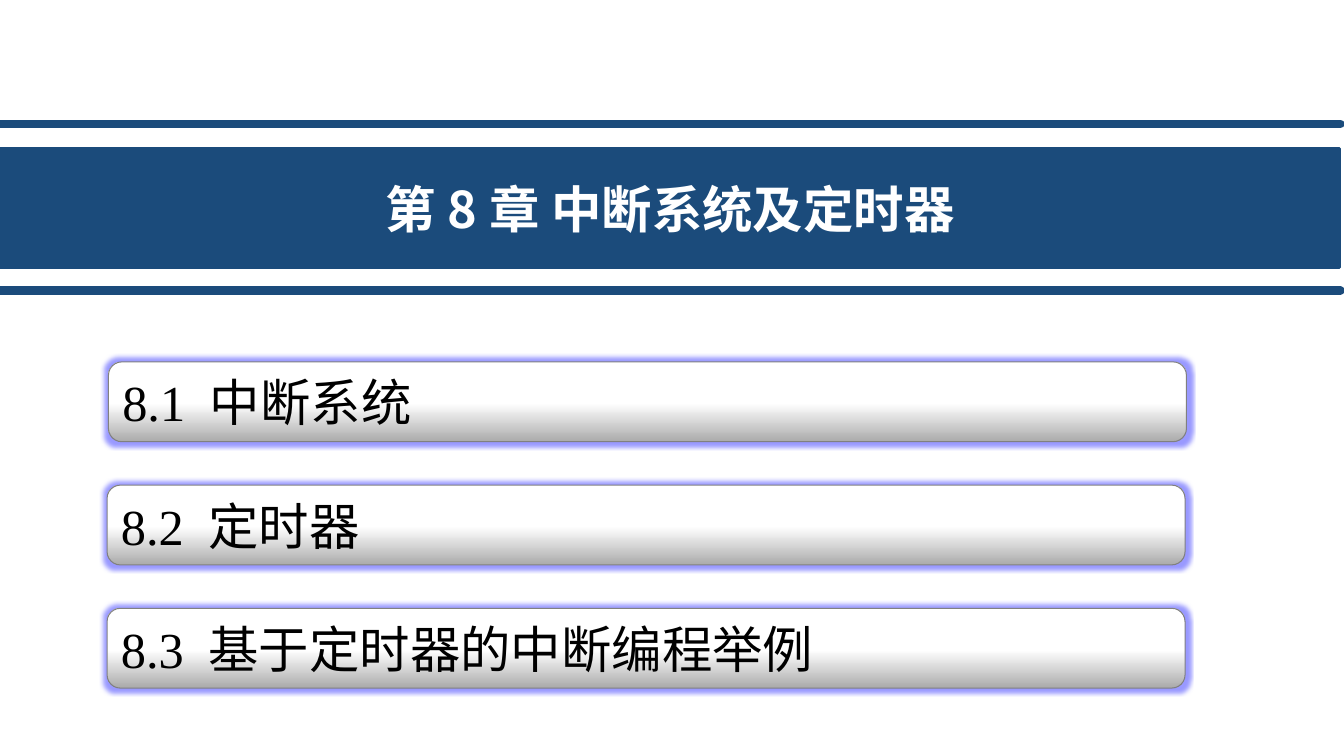
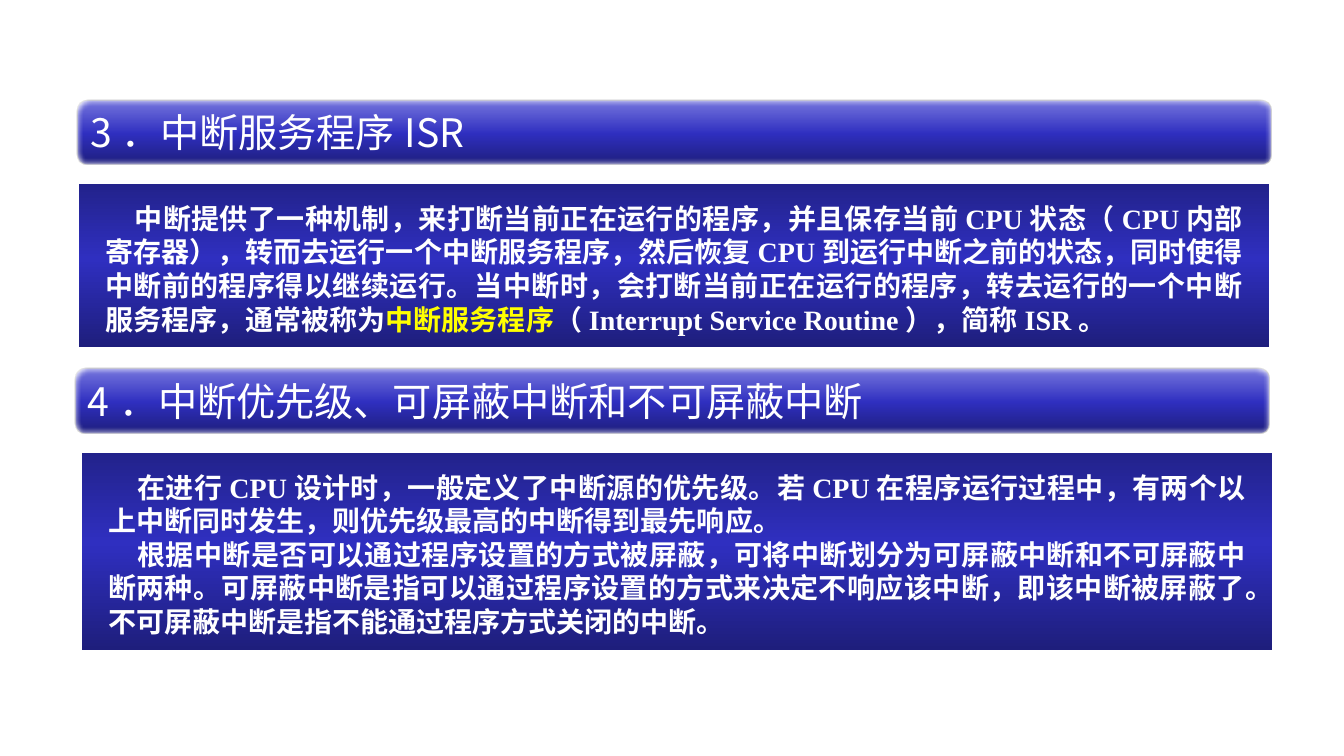
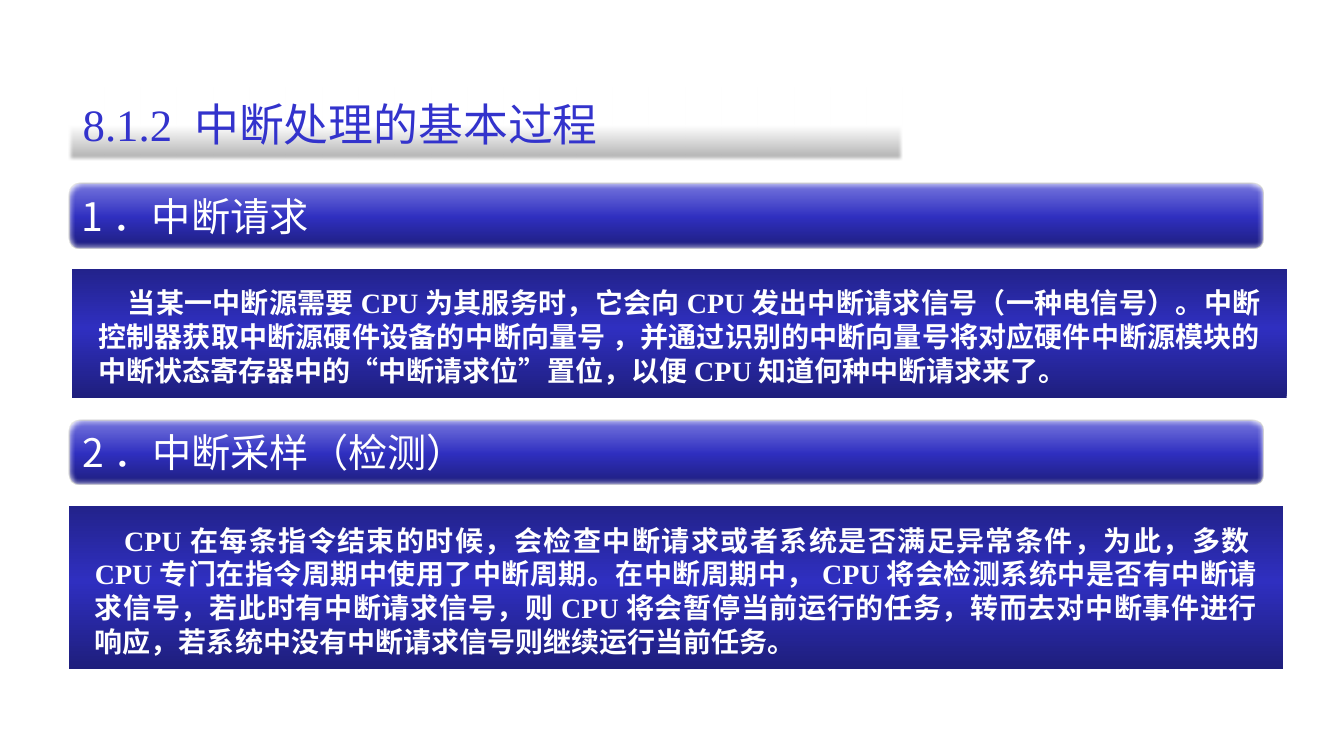
"""Build three lecture slides on interrupts and timers."""
from copy import deepcopy
from dataclasses import dataclass

from lxml.etree import SubElement
from pptx import Presentation
from pptx.dml.color import RGBColor
from pptx.enum.shapes import MSO_CONNECTOR, MSO_SHAPE
from pptx.enum.text import MSO_ANCHOR, MSO_AUTO_SIZE, PP_ALIGN
from pptx.oxml.ns import qn
from pptx.util import Pt


@dataclass(frozen=True)
class Theme:
    """Colours, gradients, fonts and type sizes of the deck."""
    band: str = "1B4B7B"
    white: str = "FFFFFF"
    black: str = "000000"
    blue: str = "3333CC"
    mark: str = "FFFF00"
    edge: str = "808080"
    glow: str = "9999FF"
    silver: tuple = ((0, "ABABAB"), (0.48, "FFFFFF"), (1, "FFFFFF"))
    gloss: tuple = ((0, "1E1E7C"), (0.48, "2F2FC0"), (1, "7878DE"))
    deep: tuple = ((0, "1E1E7C"), (0.54, "2F2FC0"), (1, "22228B"))
    sans: str = "Noto Sans CJK SC"
    serif: str = "Times New Roman"
    large: int = 36
    title: int = 32
    head: int = 28
    body: int = 20
    pitch: int = 24


def write(box, paras, size, color, font, bold=False, align=PP_ALIGN.LEFT,
          indent=0, pitch=None):
    """Fill a box with paragraphs, each a list of (text, colour or None) runs."""
    frame = box.text_frame
    frame.word_wrap = True
    frame.vertical_anchor = MSO_ANCHOR.MIDDLE
    for i, runs in enumerate(paras):
        para = frame.add_paragraph() if i else frame.paragraphs[0]
        para.alignment = align
        para.space_before = Pt(0)
        if indent:
            para._p.get_or_add_pPr().set("indent", str(Pt(indent)))
        if pitch:
            para.line_spacing = Pt(pitch)
        for text, tint in runs:
            run = para.add_run()
            run.text = text
            run.font.size = Pt(size)
            run.font.bold = bold
            run.font.name = font
            run.font.color.rgb = RGBColor.from_string(tint or color)
            east = SubElement(run._r.get_or_add_rPr(), qn("a:ea"))
            east.set("typeface", Theme.sans)


class Deck:
    """Hold the theme and the current slide, and draw its elements."""

    def __init__(self):
        """Start an empty wide presentation."""
        self.look = Theme()
        self.show = Presentation()
        self.show.slide_width = Pt(960)
        self.show.slide_height = Pt(540)
        self.slide = None

    def page(self, titled=True):
        """Add a slide with or without a title."""
        layout = self.show.slide_layouts[5 if titled else 6]
        self.slide = self.show.slides.add_slide(layout)

    def place(self, kind, left, top, width, height):
        """Add a preset shape without fill, line or shadow."""
        box = self.slide.shapes.add_shape(
            kind, Pt(left), Pt(top), Pt(width), Pt(height))
        box.line.fill.background()
        box.shadow.inherit = False
        return box

    def title(self, left, top, width, height):
        """Move the title placeholder."""
        box = self.slide.shapes.title
        box.left, box.top = Pt(left), Pt(top)
        box.width, box.height = Pt(width), Pt(height)
        box.text_frame.auto_size = MSO_AUTO_SIZE.NONE
        box.shadow.inherit = False
        return box

    def line(self, box, color, width):
        """Outline a shape or colour a connector."""
        box.line.color.rgb = RGBColor.from_string(color)
        box.line.width = Pt(width)

    def blend(self, box, stops):
        """Fill a shape with a gradient that runs upwards."""
        box.fill.gradient()
        box.fill.gradient_angle = 90
        items = box._element.spPr.find(qn("a:gradFill")).find(qn("a:gsLst"))
        items.append(deepcopy(items[0]))
        for stop, (place, color) in zip(box.fill.gradient_stops, stops):
            stop.position = place
            stop.color.rgb = RGBColor.from_string(color)

    def effect(self, box, name, size, color=None):
        """Add a glow or a soft edge to a shape."""
        items = box._element.spPr.find(qn("a:effectLst"))
        node = SubElement(items, qn(name), rad=str(Pt(size)))
        if color:
            SubElement(node, qn("a:srgbClr"), val=color)

    def rule(self, top):
        """Draw a thick round-ended line across the slide."""
        bar = self.slide.shapes.add_connector(
            MSO_CONNECTOR.STRAIGHT, Pt(0), Pt(top), Pt(957.5), Pt(top))
        self.line(bar, self.look.band, 6)
        bar.line._get_or_add_ln().set("cap", "rnd")
        SubElement(bar._element.spPr, qn("a:effectLst"))

    def banner(self, text):
        """Draw the chapter title as a full-width band."""
        look = self.look
        box = self.title(0, 106, 957, 85)
        box.fill.solid()
        box.fill.fore_color.rgb = RGBColor.from_string(look.band)
        self.line(box, look.band, 2)
        write(box, [[(text, None)]], look.large, look.white, look.sans,
              bold=True, align=PP_ALIGN.CENTER)

    def topic(self, text, left, top):
        """Draw a glowing silver bar for a chapter section."""
        look = self.look
        box = self.place(MSO_SHAPE.ROUNDED_RECTANGLE, left, top, 770, 57)
        self.blend(box, look.silver)
        self.line(box, look.edge, 0.75)
        self.effect(box, "a:glow", 6, look.glow)
        write(box, [[(text, None)]], look.large, look.black, look.serif)

    def section(self, text):
        """Draw the slide title as a soft silver bar."""
        look = self.look
        box = self.title(49, 62.5, 596, 52)
        shape = SubElement(box._element.spPr, qn("a:prstGeom"),
                           prst="roundRect")
        SubElement(shape, qn("a:avLst"))
        box._element.spPr.insert(1, shape)
        self.blend(box, look.silver)
        self.effect(box, "a:softEdge", 2.5)
        box.text_frame.margin_left = Pt(10)
        write(box, [[(text, None)]], look.title, look.blue, look.serif)

    def head(self, text, left, top):
        """Draw a glossy blue heading bar."""
        look = self.look
        box = self.place(MSO_SHAPE.ROUNDED_RECTANGLE, left, top, 853, 46)
        self.blend(box, look.gloss)
        self.line(box, look.edge, 0.75)
        self.effect(box, "a:softEdge", 2.5)
        write(box, [[(text, None)]], look.head, look.white, look.sans)

    def body(self, paras, left, top, width, rows):
        """Draw a blue panel that is sized by its rows of text."""
        look = self.look
        box = self.place(MSO_SHAPE.RECTANGLE, left, top, width,
                         rows * look.pitch + 20.5)
        self.blend(box, look.deep)
        frame = box.text_frame
        frame.margin_left = frame.margin_right = Pt(18.7)
        frame.margin_top, frame.margin_bottom = Pt(12), Pt(8)
        frame.auto_size = MSO_AUTO_SIZE.SHAPE_TO_FIT_TEXT
        write(box, paras, look.body, look.white, look.serif, bold=True,
              align=PP_ALIGN.JUSTIFY, indent=21, pitch=look.pitch)


def main():
    """Draw the slides and save them."""
    deck = Deck()
    deck.page()
    deck.banner("第8章 中断系统及定时器")
    for top in (207.5, 88.5):
        deck.rule(top)
    topics = ("8.1 中断系统", "8.2 定时器", "8.3 基于定时器的中断编程举例")
    for i, text in enumerate(topics):
        deck.topic(text, 76.5 if i else 77.5, 258.5 + 88 * i)

    deck.page(titled=False)
    deck.head("3．中断服务程序ISR", 55, 71.5)
    deck.body([[
        ("中断提供了一种机制，来打断当前正在运行的程序，并且保存当前CPU状态"
         "（CPU内部寄存器），转而去运行一个中断服务程序，然后恢复CPU到运行中断"
         "之前的状态，同时使得中断前的程序得以继续运行。当中断时，会打断当前正在"
         "运行的程序，转去运行的一个中断服务程序，通常被称为", None),
        ("中断服务程序", deck.look.mark),
        ("（Interrupt Service Routine），简称ISR。", None),
    ]], 56.5, 131.5, 850, 4)
    deck.head("4．中断优先级、可屏蔽中断和不可屏蔽中断", 53.5, 263)
    deck.body([
        [("在进行CPU设计时，一般定义了中断源的优先级。若CPU在程序运行过程中，"
          "有两个以上中断同时发生，则优先级最高的中断得到最先响应。", None)],
        [("根据中断是否可以通过程序设置的方式被屏蔽，可将中断划分为可屏蔽中断和"
          "不可屏蔽中断两种。可屏蔽中断是指可以通过程序设置的方式来决定不响应该"
          "中断，即该中断被屏蔽了。不可屏蔽中断是指不能通过程序方式关闭的中断。",
          None)],
    ], 58.5, 323.5, 850, 5)

    deck.page()
    deck.section("8.1.2 中断处理的基本过程")
    deck.head("1．中断请求", 49, 131)
    deck.body([[
        ("当某一中断源需要CPU为其服务时，它会向CPU发出中断请求信号（一种电信号）。"
         "中断控制器获取中断源硬件设备的中断向量号 ，并通过识别的中断向量号将对应"
         "硬件中断源模块的中断状态寄存器中的“中断请求位”置位，以便CPU知道何种中断"
         "请求来了。", None),
    ]], 51.5, 192, 867.5, 3)
    deck.head("2．中断采样（检测）", 49.5, 300)
    deck.body([[
        ("CPU在每条指令结束的时候，会检查中断请求或者系统是否满足异常条件，为此，"
         "多数CPU专门在指令周期中使用了中断周期。在中断周期中，CPU将会检测系统中"
         "是否有中断请求信号，若此时有中断请求信号，则CPU将会暂停当前运行的任务，"
         "转而去对中断事件进行响应，若系统中没有中断请求信号则继续运行当前任务。",
         None),
    ]], 49, 361.5, 867.5, 4)
    deck.show.save("out.pptx")


if __name__ == "__main__":
    main()
